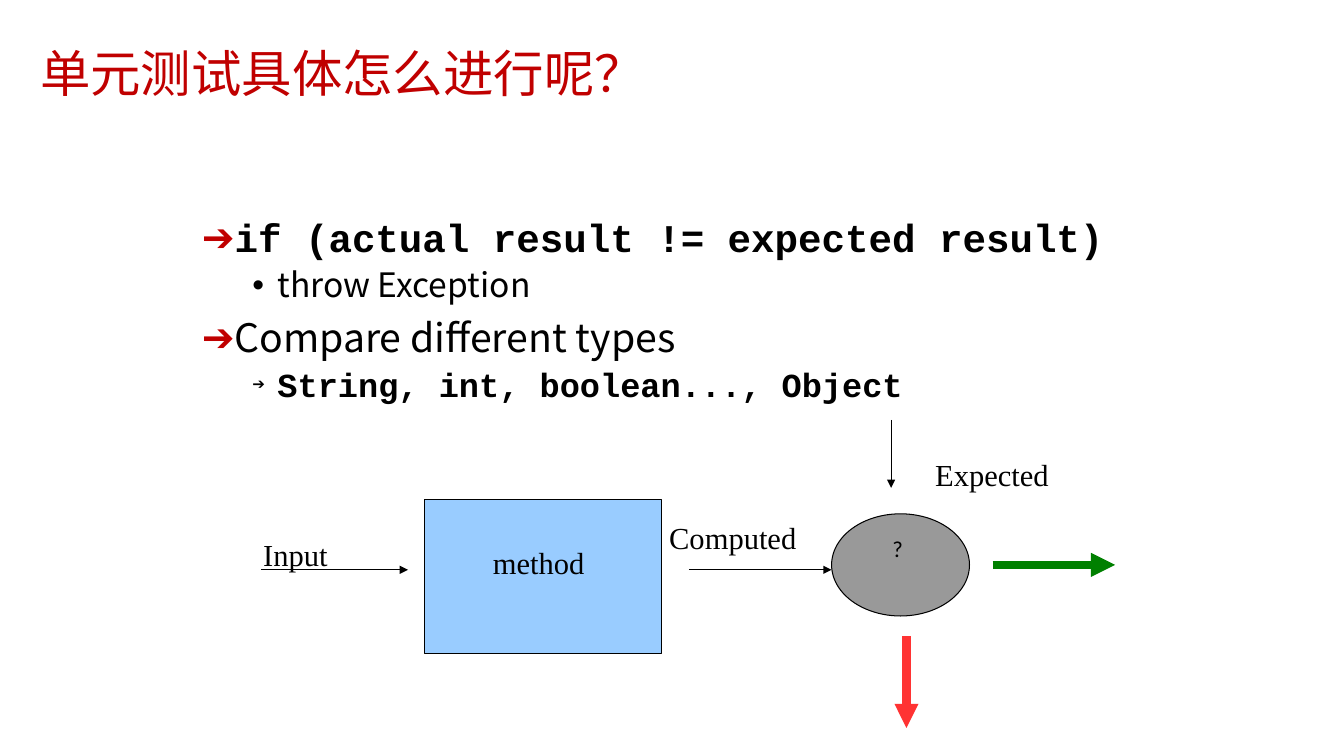
from lxml import etree
from pptx import Presentation
from pptx.dml.color import RGBColor
from pptx.enum.shapes import MSO_CONNECTOR, MSO_SHAPE
from pptx.enum.text import MSO_ANCHOR, MSO_AUTO_SIZE, PP_ALIGN
from pptx.oxml.ns import qn
from pptx.util import Pt

LINE = MSO_CONNECTOR.STRAIGHT
BOX = MSO_SHAPE.ROUNDED_RECTANGLE
OVAL = MSO_SHAPE.OVAL
MIDDLE = MSO_ANCHOR.MIDDLE
TOP = MSO_ANCHOR.TOP
NOFIT = MSO_AUTO_SIZE.NONE
LEFT = PP_ALIGN.LEFT

SANS = "Noto Sans CJK SC"
MONO = "Courier New"
SERIF = "Times New Roman"
BLACK = "000000"
RED = "C00000"

ITEMS = [
    ("if (actual result != expected result)", 0, MONO, "➔", RED, 100, 0.98),
    ("throw Exception", 1, SANS, "•", BLACK, 100, 0.9),
    ("Compare different types", 0, SANS, "➔", RED, 100, 0.9),
    ("String, int, boolean..., Object", 1, MONO, "➔", BLACK, 45, 0.9),
]
LABELS = [
    ("?", (637.5, 383, 9, 19.5), "Calibri", 16.3),
    ("method", (352, 390, 68, 26), SERIF, 21.8),
    ("Expected", (668, 327, 84, 26), SERIF, 21.8),
    ("Computed", (478, 372, 94, 26), SERIF, 21.8),
    ("Input", (188, 384, 50, 26), SERIF, 21.8),
]
ARROWS = [
    ((186.5, 407, 291.5, 407), BLACK, 0.75),
    ((492, 407, 594, 407), BLACK, 0.75),
    ((636.5, 300, 636.5, 348.5), BLACK, 0.75),
    ((647.5, 454.5, 647.5, 520), "FF3333", 5.75),
    ((709, 403.5, 796.5, 403.5), "008000", 5.75),
]


def apply(item, values):
    """Set each attribute from a dict of format values."""
    for name, value in values.items():
        setattr(item, name, value)


def paint(color, code):
    """Give a colour format its hex value."""
    color.rgb = RGBColor.from_string(code)


def place(shape, spot):
    """Move and size a shape in points."""
    names = ("left", "top", "width", "height")
    apply(shape, dict(zip(names, map(Pt, spot))))


def write(para, text, face, size, code, bold=False, space=0.9):
    """Add one formatted run to a paragraph."""
    apply(para, {"line_spacing": space, "alignment": LEFT})
    run = para.add_run()
    run.text = text
    apply(run.font, {"name": face, "size": Pt(size), "bold": bold})
    paint(run.font.color, code)
    east = etree.SubElement(run.font._element, qn("a:ea"))
    east.set("typeface", face)


def mark(para, sign, code, scale, indent):
    """Give a paragraph its bullet and hanging indent."""
    props = para._p.get_or_add_pPr()
    props.set("marL", str(Pt(indent)))
    props.set("indent", str(-Pt(18)))
    color = etree.SubElement(props, qn("a:buClr"))
    etree.SubElement(color, qn("a:srgbClr")).set("val", code)
    etree.SubElement(props, qn("a:buSzPct")).set("val", str(scale * 1000))
    etree.SubElement(props, qn("a:buFont")).set("typeface", "Arial")
    etree.SubElement(props, qn("a:buChar")).set("char", sign)


def head(slide, text):
    """Fill the title placeholder."""
    title = slide.shapes.title
    place(title, (21.5, 29, 916.5, 51))
    frame = title.text_frame
    apply(frame, {"vertical_anchor": MIDDLE, "auto_size": NOFIT})
    write(frame.paragraphs[0], text, SANS, 36, RED)


def points(slide, items):
    """Fill the body placeholder with a two-level list."""
    body = slide.placeholders[1]
    place(body, (137, 150.5, 691, 340))
    frame = body.text_frame
    apply(frame, {"vertical_anchor": TOP, "auto_size": NOFIT})
    for n, (text, level, face, sign, code, scale, space) in enumerate(items):
        para = frame.add_paragraph() if n else frame.paragraphs[0]
        apply(para, {"level": level, "space_before": Pt(10 - 5 * level)})
        size = 28 - 4 * level
        write(para, text, face, size, BLACK, face == MONO, space)
        mark(para, sign, code, scale, 18 + 36 * level)


def block(slide, kind, spot, code):
    """Draw a filled shape with a thin black outline."""
    shape = slide.shapes.add_shape(kind, *map(Pt, spot))
    shape.shadow.inherit = False
    shape.fill.solid()
    paint(shape.fill.fore_color, code)
    shape.line.width = Pt(0.75)
    paint(shape.line.color, BLACK)
    return shape


def arrow(slide, ends, code, width):
    """Draw a straight arrow with a triangle head."""
    line = slide.shapes.add_connector(LINE, *map(Pt, ends))
    line.line.width = Pt(width)
    paint(line.line.color, code)
    etree.SubElement(line.line._ln, qn("a:tailEnd")).set("type", "triangle")
    etree.SubElement(line._element.spPr, qn("a:effectLst"))


def label(slide, text, spot, face, size):
    """Place a one-line text label without margins."""
    frame = slide.shapes.add_textbox(*map(Pt, spot)).text_frame
    sides = ("left", "top", "right", "bottom")
    apply(frame, {f"margin_{side}": 0 for side in sides})
    apply(frame, {"word_wrap": True, "auto_size": NOFIT})
    write(frame.paragraphs[0], text, face, size, BLACK, space=0.98)


def main():
    """Build the slide and save it."""
    deck = Presentation()
    apply(deck, {"slide_width": Pt(960), "slide_height": Pt(540)})
    slide = deck.slides.add_slide(deck.slide_layouts[1])
    head(slide, "单元测试具体怎么进行呢？")
    points(slide, ITEMS)
    method = block(slide, BOX, (303, 357, 169.5, 109.5), "99CCFF")
    method.adjustments[0] = 0
    block(slide, OVAL, (594, 367, 98.5, 73), "999999")
    for item in ARROWS:
        arrow(slide, *item)
    for item in LABELS:
        label(slide, *item)
    deck.save("out.pptx")


if __name__ == "__main__":
    main()
